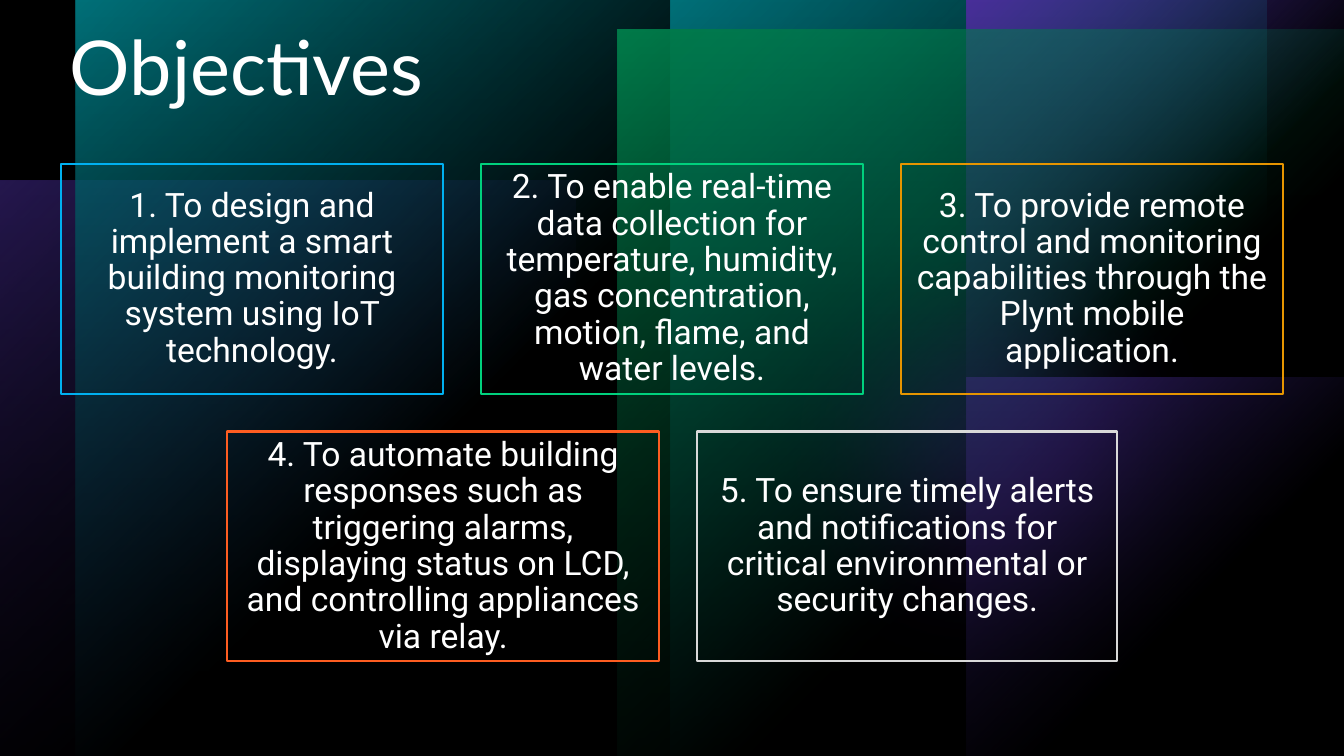
from lxml.etree import SubElement
from pptx import Presentation
from pptx.dml.color import RGBColor as Rgb
from pptx.enum.shapes import MSO_SHAPE as Kind
from pptx.enum.text import MSO_ANCHOR as Anchor, MSO_AUTO_SIZE as Fit, PP_ALIGN as Align
from pptx.oxml.ns import qn
from pptx.util import Pt

WIDE, HIGH = 1280, 720
GAP, TOP, BOX_H = 36, 156, 219
HUES = {
    "black": "000000", "white": "FFFFFF", "teal": "00BAC8", "green": "00D17D",
    "violet": "794DFF", "blue": "00B0F0", "amber": "E69500", "orange": "FE5D21",
    "grey": "D9D9D9",
}
GOALS = [
    [
        (364, "blue", "1. To design and implement a smart building monitoring "
                      "system using IoT technology."),
        (364, "green", "2. To enable real-time data collection for temperature, "
                       "humidity, gas concentration, motion, flame, and water levels."),
        (364, "amber", "3. To provide remote control and monitoring capabilities "
                       "through the Plynt mobile application."),
    ],
    [
        (412, "orange", "4. To automate building responses such as triggering alarms, "
                        "displaying status on LCD, and controlling appliances via relay."),
        (400, "grey", "5. To ensure timely alerts and notifications for critical "
                      "environmental or security changes."),
    ],
]


def px(num):
    return num * 9525


def hue(name):
    return Rgb.from_string(HUES[name])


def tint(node, name, alpha):
    """Add a colour with an opacity in percent to an XML node."""
    clr = SubElement(node, qn("a:srgbClr"), val=HUES[name])
    SubElement(clr, qn("a:alpha"), val=str(alpha * 1000))


class Deck:
    def __init__(self):
        self.prs = Presentation()
        self.prs.slide_width, self.prs.slide_height = px(WIDE), px(HIGH)
        self.slide = self.prs.slides.add_slide(self.prs.slide_layouts[5])
        back = self.slide.background.fill
        back.solid()
        back.fore_color.rgb = hue("black")

    def shape(self, kind, x, y, w, h):
        item = self.slide.shapes.add_shape(kind, px(x), px(y), px(w), px(h))
        item.shadow.inherit = False
        item.fill.background()
        item.line.fill.background()
        return item

    def fade(self, x, y, w, h, stops, round_=True):
        """Draw a rectangle whose fill runs through (position, colour, opacity) stops."""
        item = self.shape(Kind.RECTANGLE, x, y, w, h)
        props = item.element.spPr
        grad = SubElement(props, qn("a:gradFill"), rotWithShape="1")
        props.replace(props.find(qn("a:noFill")), grad)
        ramp = SubElement(grad, qn("a:gsLst"))
        for pos, name, alpha in stops:
            tint(SubElement(ramp, qn("a:gs"), pos=str(pos * 1000)), name, alpha)
        if round_:
            form = SubElement(grad, qn("a:path"), {"path": "circle"})
            SubElement(form, qn("a:fillToRect"), r="100000", b="100000")
        else:
            SubElement(grad, qn("a:lin"), ang="5400000", scaled="0")

    def glow(self, x, y, size, name, alpha):
        """Draw a disc with a wide soft edge."""
        item = self.shape(Kind.OVAL, x, y, size, size)
        props = item.element.spPr
        fill = SubElement(props, qn("a:solidFill"))
        props.replace(props.find(qn("a:noFill")), fill)
        tint(fill, name, alpha)
        SubElement(props.find(qn("a:effectLst")), qn("a:softEdge"), rad="1270000")

    def text(self, frame, words, size, font, align, anchor):
        frame.word_wrap = True
        frame.auto_size = Fit.NONE
        frame.vertical_anchor = anchor
        para = frame.paragraphs[0]
        para.alignment = align
        para.line_spacing = 0.9
        run = para.add_run()
        run.text = words
        run.font.size, run.font.name = Pt(size), font
        run.font.color.rgb = hue("white")

    def title(self, x, y, w, h, words):
        item = self.slide.shapes.title
        item.left, item.top, item.width, item.height = px(x), px(y), px(w), px(h)
        item.element.getparent().append(item.element)  # above the backdrop
        self.text(item.text_frame, words, 54, "Lato", Align.LEFT, Anchor.TOP)

    def box(self, x, y, w, h, name, words):
        item = self.shape(Kind.RECTANGLE, x, y, w, h)
        item.line.color.rgb = hue(name)
        item.line.width = Pt(1.5)
        frame = item.text_frame
        frame.margin_left = frame.margin_right = px(10)
        frame.margin_top = frame.margin_bottom = px(10)
        self.text(frame, words, 24, "Roboto", Align.CENTER, Anchor.MIDDLE)


def main():
    deck = Deck()

    def beam(x, y, w, h, name, alpha=100):
        deck.fade(x, y, w, h, [(0, name, alpha), (60, name, 0)])

    beam(0, 172, 548, 548, "violet", 60)
    deck.glow(670, 0, 453, "green", 96)
    deck.glow(642, 130, 578, "violet", 60)
    for x in (639, 72):
        beam(x, 0, 567, HIGH, "teal")
    for y in (360, 0):
        beam(920, y, 360, 360, "violet")
    beam(588, 28, 692, 692, "green")
    deck.fade(0, 0, WIDE, HIGH, [(0, "black", 40), (100, "black", 80)], round_=False)

    deck.title(57, 24, 427, 103, "Objectives")
    for row, goals in enumerate(GOALS):
        span = sum(w for w, _, _ in goals) + GAP * (len(goals) - 1)
        x = (WIDE - span) // 2
        for w, name, words in goals:
            deck.box(x, TOP + row * (BOX_H + GAP), w, BOX_H, name, words)
            x += w + GAP
    deck.prs.save("out.pptx")


if __name__ == "__main__":
    main()
